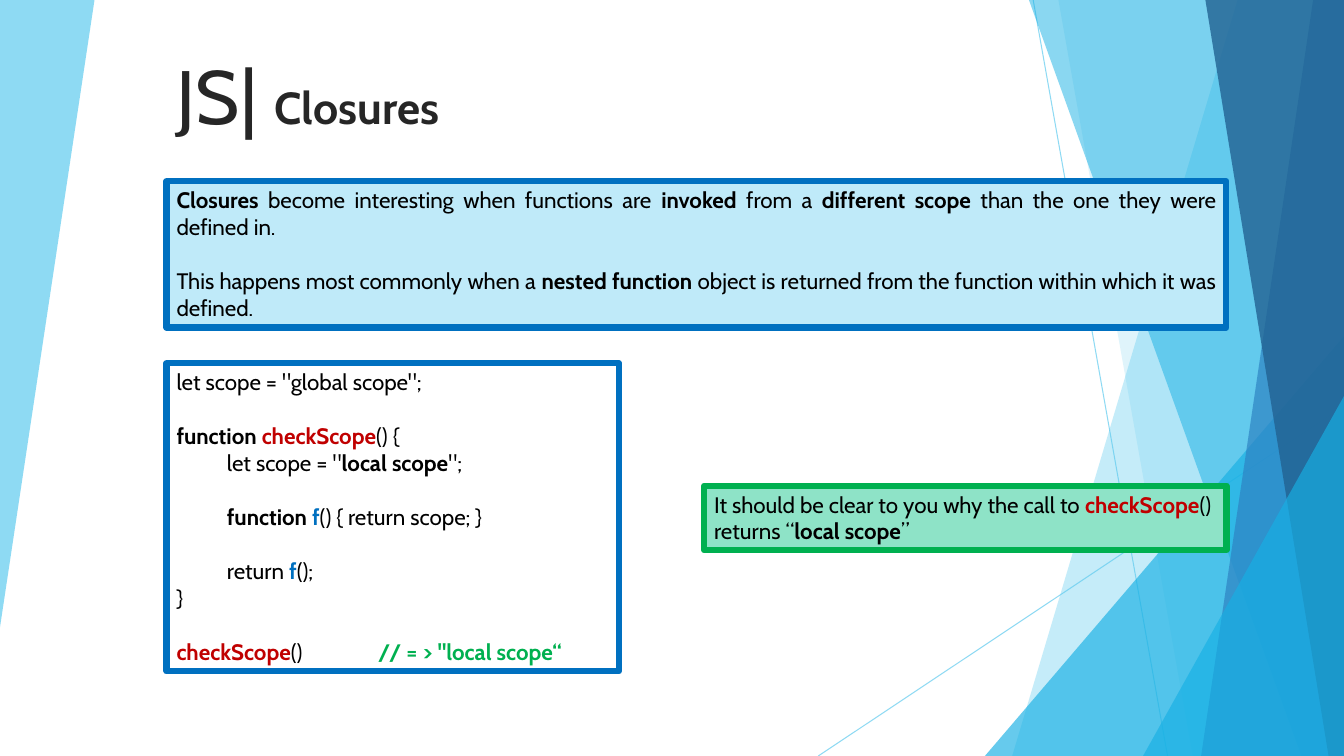
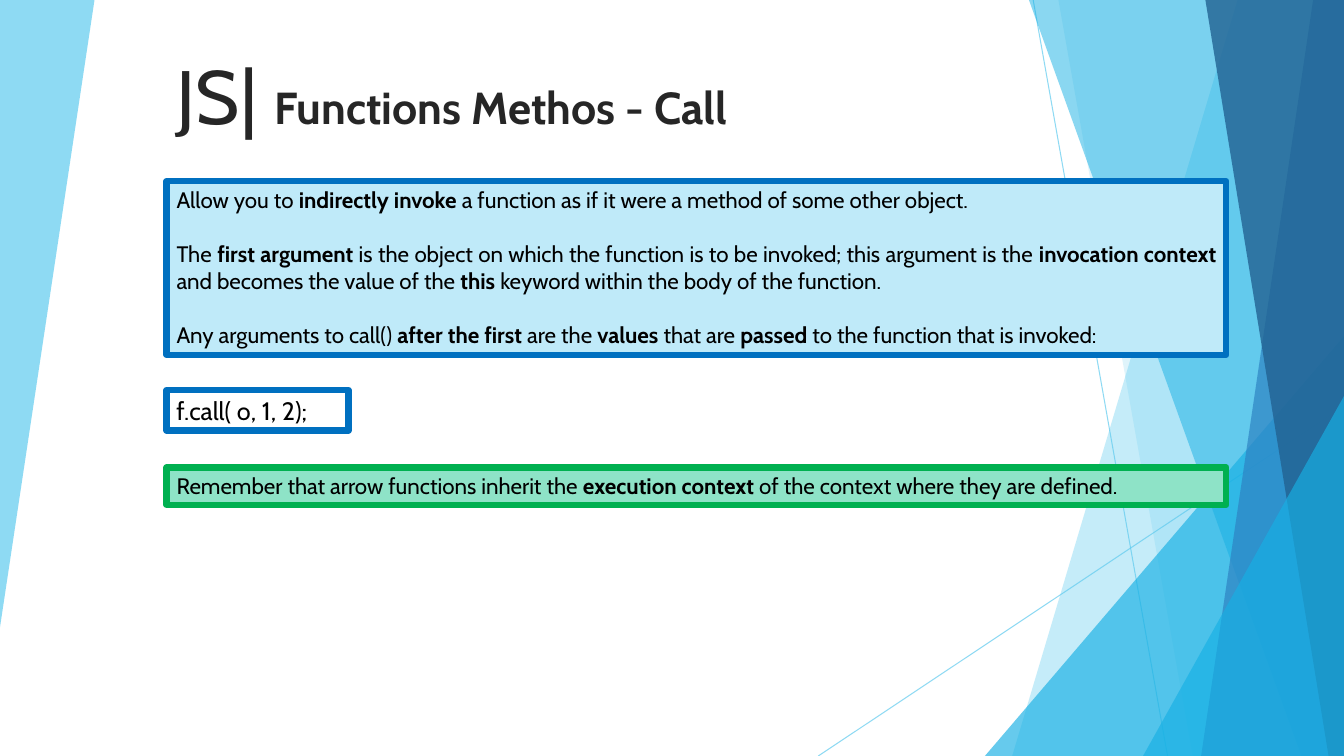
"""Builds two slides on JavaScript closures and the call method."""
from lxml.etree import SubElement
from pptx import Presentation
from pptx.dml.color import RGBColor
from pptx.enum.shapes import MSO_CONNECTOR, MSO_SHAPE
from pptx.enum.text import MSO_ANCHOR, MSO_AUTO_SIZE, PP_ALIGN
from pptx.oxml.ns import qn
from pptx.util import Pt

LEFT, JUST = PP_ALIGN.LEFT, PP_ALIGN.JUSTIFY
BOTTOM = MSO_ANCHOR.BOTTOM
FIXED, GROW = MSO_AUTO_SIZE.NONE, MSO_AUTO_SIZE.SHAPE_TO_FIT_TEXT
STRAIGHT, PEAK = MSO_CONNECTOR.STRAIGHT, MSO_SHAPE.ISOSCELES_TRIANGLE

FONT = "Cabin"
WIDE, HIGH = 960, 540
EDGE, SPAN = 119, 757
GAP, INDENT, STOP = 19.4, 36, 144
COLORS = {
    "black": "000000", "title": "262626", "red": "C00000",
    "blue": "0070C0", "green": "00B050", "ice": "BFEAF9", "mint": "8EE3C7",
    "sky": "5FCBEF", "cyan": "17B0E4", "steel": "2E83C3", "navy": "226292",
}
TINTS = {"checkScope": "red", "f": "blue", '// = > "local scope“': "green"}


def color(name):
    """Return the named colour."""
    return RGBColor.from_string(COLORS[name])


def say(par, text, size=16, bold=False, tint="black"):
    """Add a formatted run to a paragraph."""
    run = par.add_run()
    run.text = text
    font = run.font
    font.name, font.size, font.bold = FONT, Pt(size), bold
    font.color.rgb = color(tint)


def fade(shape, alpha):
    """Set the opacity, in percent, of a shape's colours."""
    for node in list(shape.element.spPr.iter(qn("a:srgbClr"))):
        SubElement(node, qn("a:alpha"), val=str(alpha * 1000))


def paint(shape, tint, alpha):
    """Give a shape a see-through fill and no outline."""
    shape.shadow.inherit = False
    shape.fill.solid()
    shape.fill.fore_color.rgb = color(tint)
    shape.line.fill.background()
    fade(shape, alpha)
    return shape


def facet(shapes, points, tint, alpha):
    """Draw a filled polygon."""
    start, *rest = [(Pt(x), Pt(y)) for x, y in points]
    pen = shapes.build_freeform(*start)
    pen.add_line_segments(rest, close=True)
    return paint(pen.convert_to_shape(), tint, alpha)


def band(shapes, top, foot, tint, alpha):
    """Draw a full-height facet that ends at the right edge."""
    points = [(top, 0), (WIDE, 0), (WIDE, HIGH), (foot, HIGH)]
    return facet(shapes, points, tint, alpha)


def wedge(shapes, left, top):
    """Draw a right triangle that fills the lower right corner."""
    shape = shapes.add_shape(
        PEAK, Pt(left), Pt(top), Pt(WIDE - left), Pt(HIGH - top))
    shape.adjustments[0] = 1
    return paint(shape, "cyan", 66)


def ray(shapes, *ends):
    """Draw a thin line."""
    line = shapes.add_connector(STRAIGHT, *map(Pt, ends))
    line.line.color.rgb = color("sky")
    line.line.width = Pt(0.75)
    fade(line, 70)
    SubElement(line.element.spPr, qn("a:effectLst"))
    return line


def dress(layout, shapes):
    """Set the layout's title and move the shared backdrop onto it."""
    title, *others = layout.placeholders
    for other in others:
        other.element.getparent().remove(other.element)
    title.left, title.top = Pt(EDGE), Pt(27)
    title.width, title.height = Pt(611), Pt(76)
    title.text_frame.vertical_anchor = BOTTOM
    title.text_frame.auto_size = FIXED
    parts = [
        facet(shapes, [(0, 0), (67.5, 0), (0, 448)], "sky", 70),
        ray(shapes, 738, 0, 834, HIGH),
        ray(shapes, WIDE, 290, 584.5, HIGH),
        band(shapes, 884, 723, "sky", 36),
        band(shapes, 756, 852, "sky", 20),
        wedge(shapes, 703.5, 240),
        band(shapes, 735, 929.5, "cyan", 50),
        band(shapes, 938, 858, "steel", 70),
        band(shapes, 861, 949, "navy", 80),
        wedge(shapes, 816.5, 283),
    ]
    tree = title.element.getparent()
    for part in parts:
        tree.append(part.element)


def head(slide, text):
    """Fill the title placeholder."""
    par = slide.shapes.title.text_frame.paragraphs[0]
    par.alignment = LEFT
    say(par, "JS| ", size=54, tint="title")
    say(par, text, size=32, bold=True, tint="title")


def write(par, text, size):
    """Write a line, with starred parts bold and tabs as indents or stops."""
    props = par._p.get_or_add_pPr()
    if text.startswith("\t"):
        props.set("marL", str(Pt(INDENT)))
        props.set("indent", "0")
        text = text[1:]
    elif "\t" in text:
        tabs = SubElement(props, qn("a:tabLst"))
        SubElement(tabs, qn("a:tab"), pos=str(Pt(STOP)), algn="l")
    for i, part in enumerate(text.split("*")):
        if part:
            tint = TINTS.get(part, "black") if i % 2 else "black"
            say(par, part, size=size, bold=bool(i % 2), tint=tint)


def box(slide, place, groups, edge="blue", fill=None, size=16, align=LEFT):
    """Add a framed text box whose groups of lines are set apart."""
    shape = slide.shapes.add_textbox(*map(Pt, place))
    shape.line.color.rgb = color(edge)
    shape.line.width = Pt(4.5)
    if fill:
        shape.fill.solid()
        shape.fill.fore_color.rgb = color(fill)
    frame = shape.text_frame
    frame.word_wrap, frame.auto_size = True, GROW
    par = None
    for group in groups:
        for i, text in enumerate(group.split("\n")):
            first = par is None
            par = frame.paragraphs[0] if first else frame.add_paragraph()
            par.alignment = align
            par.space_before = Pt(0 if first or i else GAP)
            write(par, text, size)


def scope(slide):
    """Fill the slide on closures."""
    head(slide, "Closures")
    box(slide, (EDGE, 129.5, SPAN, 104.5), [
        "*Closures *become interesting when functions are *invoked *from a "
        "*different scope* than the one they were defined in.",
        "This happens most commonly when a *nested function *object is "
        "returned from the function within which it was defined.",
    ], fill="ice", align=JUST)
    box(slide, (EDGE, 259.5, 323, 220), [
        'let scope = "global scope";',
        '*function **checkScope*() {\n\tlet scope = "*local scope*";',
        "\t*function **f*() { return scope; }",
        "\treturn *f*();\n}",
        '*checkScope*()\t*// = > "local scope“*',
    ])
    box(slide, (503, 347, 373, 46), [
        "It should be clear to you why the call to *checkScope*() "
        "returns “*local scope*”",
    ], edge="green", fill="mint")


def call(slide):
    """Fill the slide on the call method."""
    head(slide, "Functions Methos - Call")
    box(slide, (EDGE, 129.5, SPAN, 124), [
        "Allow you to *indirectly invoke *a function as if it were a method "
        "of some other object.",
        "The *first argument *is the object on which the function is to be "
        "invoked; this argument is the *invocation context *and becomes the "
        "value of the *this *keyword within the body of the function.",
        "Any arguments to call() *after the first* are the *values *that are "
        "*passed *to the function that is invoked:",
    ], fill="ice", align=JUST)
    box(slide, (EDGE, 278.5, 130, 29), ["f.call( o, 1, 2);"],
        size=18, align=JUST)
    box(slide, (EDGE, 334, SPAN, 26.6), [
        "Remember that arrow functions inherit the *execution context* of "
        "the context where they are defined.",
    ], edge="green", fill="mint")


def main():
    """Build and save the deck."""
    deck = Presentation()
    deck.slide_width, deck.slide_height = Pt(WIDE), Pt(HIGH)
    layout = deck.slide_layouts[5]
    slides = [deck.slides.add_slide(layout) for _ in range(2)]
    dress(layout, slides[0].shapes)
    for slide, fill in zip(slides, (scope, call)):
        fill(slide)
    deck.save("out.pptx")


if __name__ == "__main__":
    main()
